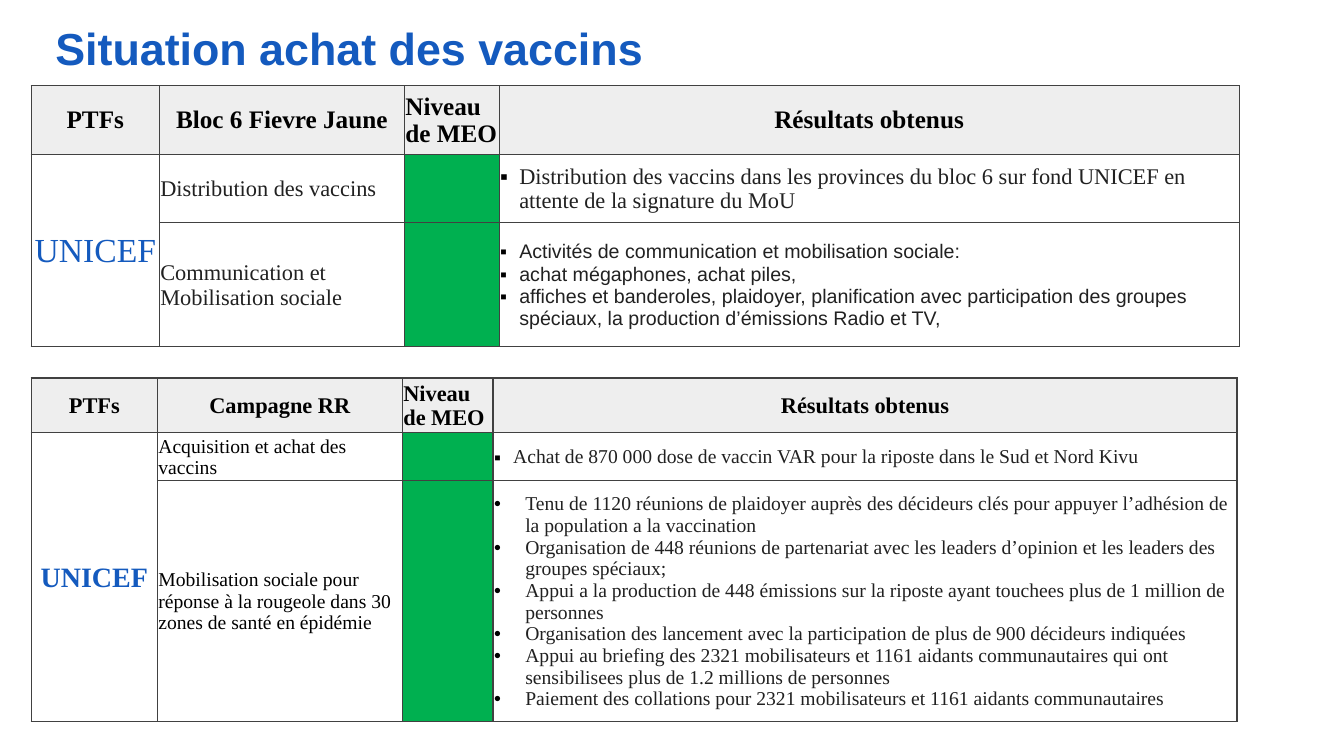
from lxml.etree import SubElement
from pptx import Presentation
from pptx.dml.color import RGBColor
from pptx.enum.text import MSO_ANCHOR as Anchor, PP_ALIGN as Align
from pptx.oxml.ns import qn
from pptx.util import Inches, Pt

WIDTH, HEIGHT = 13.33, 7.5
SERIF, SANS = "Times New Roman", "Arial"
BLUE, BLACK, INK, BORDER = "145ABE", "000000", "212121", "414141"
GREY, GREEN, WHITE = "EEEEEE", "00B050", "FFFFFF"
SQUARE, DOT = ("▪", 0.19), ("•", 0.31)
MARGINS = {"margin_left": 0.01, "margin_right": 0.01,
           "margin_top": 0.01, "margin_bottom": 0}


def across(percent):
    return Inches(WIDTH * percent / 100)


def down(percent):
    return Inches(HEIGHT * percent / 100)


def color(value):
    return RGBColor.from_string(value)


def style(size, ink=INK, bold=False, name=SERIF):
    return {"size": Pt(size), "bold": bold, "name": name, "ink": ink}


def add_bullet(paragraph, character, indent):
    properties = paragraph._p.get_or_add_pPr()
    properties.set("marL", str(Inches(indent)))
    properties.set("indent", str(-Inches(indent)))
    bullet_color = SubElement(properties, qn("a:buClr"))
    SubElement(bullet_color, qn("a:srgbClr")).set("val", BLACK)
    SubElement(properties, qn("a:buFont")).set("typeface", SANS)
    SubElement(properties, qn("a:buChar")).set("char", character)


def write(frame, lines, look, align=Align.LEFT, bullet=None):
    for index, line in enumerate(lines):
        paragraph = frame.add_paragraph() if index else frame.paragraphs[0]
        paragraph.alignment = align
        if bullet:
            add_bullet(paragraph, *bullet)
        run = paragraph.add_run()
        run.text = line
        for key, value in look.items():
            if key == "ink":
                run.font.color.rgb = color(value)
            else:
                setattr(run.font, key, value)


def add_borders(cell):
    properties = cell._tc.get_or_add_tcPr()
    for index, side in enumerate(("lnL", "lnR", "lnT", "lnB")):
        line = SubElement(properties, qn(f"a:{side}"), w=str(Pt(1)))
        fill = SubElement(line, qn("a:solidFill"))
        SubElement(fill, qn("a:srgbClr")).set("val", BORDER)
        properties.insert(index, line)


def format_cell(cell, fill=None):
    cell.vertical_anchor = Anchor.MIDDLE
    for key, value in MARGINS.items():
        setattr(cell, key, Inches(value))
    if fill:
        cell.fill.solid()
        cell.fill.fore_color.rgb = color(fill)
    else:
        cell.fill.background()
    add_borders(cell)


def add_title(slide, text):
    box = slide.shapes.add_textbox(across(3.38), down(1.07), across(91), down(10.53))
    frame = box.text_frame
    frame.word_wrap = True
    frame.vertical_anchor = Anchor.MIDDLE
    for side in MARGINS:
        setattr(frame, side, Inches(0.1))
    write(frame, [text], style(32, BLUE, True, SANS))


def add_partner_table(slide, top, columns, rows, topic, header_size, partner_look, activities):
    """Header row, then one row per activity beside a merged partner cell."""
    shape = slide.shapes.add_table(len(rows), len(columns), across(2.33), down(top),
                                   across(sum(columns)), down(sum(rows)))
    table = shape.table
    table.first_row = table.horz_banding = False
    for column, share in zip(table.columns, columns):
        column.width = across(share)
    for row, share in zip(table.rows, rows):
        row.height = down(share)

    # Cell fills and borders
    for row in range(len(rows)):
        for column, fill in enumerate((None, None, GREEN, WHITE)):
            format_cell(table.cell(row, column), fill if row else GREY)

    # Header
    for column, text in enumerate(("PTFs", topic, "Niveau de MEO", "Résultats obtenus")):
        align = Align.LEFT if column == 2 else Align.CENTER
        write(table.cell(0, column).text_frame, [text],
              style(header_size, BLACK, True), align)

    # Partner and activities
    partner = table.cell(1, 0)
    partner.merge(table.cell(len(rows) - 1, 0))
    write(partner.text_frame, ["UNICEF"], partner_look, Align.CENTER)
    for row, (activity, look, results, result_look, bullet) in enumerate(activities, 1):
        write(table.cell(row, 1).text_frame, [activity], look)
        write(table.cell(row, 3).text_frame, results, result_look, bullet=bullet)


YELLOW_FEVER = [
    ("Distribution des vaccins", style(16),
     ["Distribution des vaccins dans les provinces du bloc 6 sur fond UNICEF en "
      "attente de la signature du MoU"], style(16), SQUARE),
    ("Communication et Mobilisation sociale", style(16),
     ["Activités de communication et mobilisation sociale:",
      "achat mégaphones, achat piles,",
      "affiches et banderoles, plaidoyer, planification avec participation des groupes "
      "spéciaux, la production d’émissions Radio et TV,"],
     style(14, name=SANS), SQUARE),
]
MEASLES = [
    ("Acquisition et achat des vaccins", style(14, BLACK),
     ["Achat de 870 000 dose de vaccin VAR pour la riposte dans le Sud et Nord Kivu"],
     style(14), SQUARE),
    ("Mobilisation sociale pour réponse à la rougeole dans 30  zones de santé en épidémie",
     style(14, BLACK),
     ["Tenu de 1120 réunions de plaidoyer auprès des décideurs clés pour appuyer "
      "l’adhésion de la population a la vaccination",
      "Organisation de 448 réunions de partenariat avec les leaders d’opinion et les "
      "leaders des groupes spéciaux;",
      "Appui a la production de 448 émissions sur la riposte ayant touchees plus de "
      "1 million de personnes",
      "Organisation des lancement avec la participation de plus de 900 décideurs indiquées",
      "Appui au briefing des 2321 mobilisateurs et 1161 aidants communautaires qui ont "
      "sensibilisees plus de 1.2 millions de personnes",
      "Paiement des collations pour 2321 mobilisateurs et 1161 aidants communautaires"],
     style(14), DOT),
]


def main():
    presentation = Presentation()
    presentation.slide_width = Inches(WIDTH)
    presentation.slide_height = Inches(HEIGHT)
    slide = presentation.slides.add_slide(presentation.slide_layouts[6])

    add_title(slide, "Situation achat des vaccins")
    add_partner_table(slide, 11.33, (9.53, 18.23, 7.05, 55.06), (9.07, 9.07, 16.4),
                      "Bloc 6 Fievre Jaune", 18, style(24, BLUE), YELLOW_FEVER)
    add_partner_table(slide, 50, (9.38, 18.23, 6.75, 55.36), (6.73, 5.87, 31.8),
                      "Campagne RR", 16, style(20, BLUE, True), MEASLES)
    presentation.save("out.pptx")


if __name__ == "__main__":
    main()
